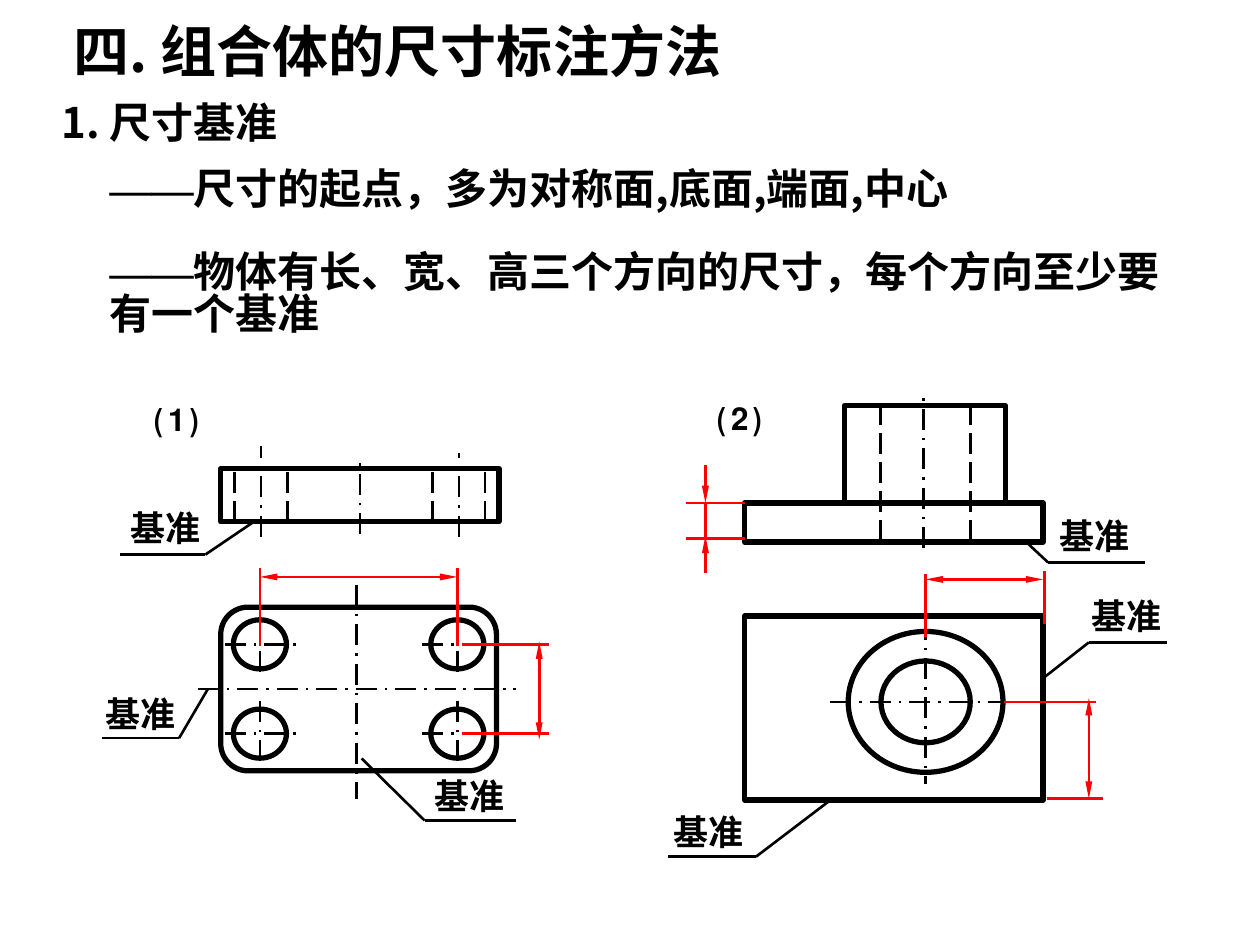
from collections import namedtuple

from lxml import etree
from pptx import Presentation
from pptx.dml.color import RGBColor
from pptx.enum.dml import MSO_LINE
from pptx.enum.shapes import MSO_CONNECTOR, MSO_SHAPE
from pptx.enum.text import MSO_ANCHOR, MSO_AUTO_SIZE, PP_ALIGN
from pptx.oxml.ns import qn
from pptx.util import Cm, Pt

STRAIGHT = MSO_CONNECTOR.STRAIGHT
RECT, ROUNDED, OVAL = MSO_SHAPE.RECTANGLE, MSO_SHAPE.ROUNDED_RECTANGLE, MSO_SHAPE.OVAL
AXIS, HIDDEN = MSO_LINE.LONG_DASH_DOT, MSO_LINE.LONG_DASH
TOP, MIDDLE = MSO_ANCHOR.TOP, MSO_ANCHOR.MIDDLE
LEFT, CENTER = PP_ALIGN.LEFT, PP_ALIGN.CENTER
FIT_SHAPE = MSO_AUTO_SIZE.SHAPE_TO_FIT_TEXT
BLACK, RED = "000000", "FF0000"
SANS, SERIF, LATIN = "Noto Sans CJK SC", "Times New Roman", "Arial"

Box = namedtuple("Box", "left top width height")


def colour(value):
    return RGBColor.from_string(value)


def inside(box, x, y, width, height):
    return Box(box.left + x, box.top + y, width, height)


def write(slide, box, runs, size=24, align=LEFT, anchor=TOP, wrap=True, spacing=None):
    frame = slide.shapes.add_textbox(*map(Cm, box)).text_frame
    frame.word_wrap = wrap
    frame.auto_size = FIT_SHAPE
    frame.vertical_anchor = anchor
    paragraph = frame.paragraphs[0]
    paragraph.alignment = align
    paragraph.line_spacing = spacing
    for words, face in runs:
        run = paragraph.add_run()
        run.text = words
        run.font.size = Pt(size)
        run.font.bold = True
        run.font.name = face
        run.font.color.rgb = colour(BLACK)
        etree.SubElement(run.font._element, qn("a:ea"), typeface=face)


def stroke(slide, box, start, end, ink=BLACK, dash=None, head=False, tail=False):
    (x1, y1), (x2, y2) = start, end
    connector = slide.shapes.add_connector(
        STRAIGHT, Cm(box.left + x1), Cm(box.top + y1), Cm(box.left + x2), Cm(box.top + y2))
    connector.line.color.rgb = colour(ink)
    connector.line.width = Pt(1.5)
    if dash:
        connector.line.dash_style = dash
    properties = connector._element.spPr
    for tag, wanted in (("a:headEnd", head), ("a:tailEnd", tail)):
        if wanted:
            etree.SubElement(properties.find(qn("a:ln")), qn(tag),
                             type="triangle", w="sm", len="lg")
    etree.SubElement(properties, qn("a:effectLst"))


def outline(slide, preset, box):
    body = slide.shapes.add_shape(preset, *map(Cm, box))
    body.shadow.inherit = False
    body.fill.background()
    body.line.color.rgb = colour(BLACK)
    body.line.width = Pt(3)


def ellipse(slide, box, x, y, width, height):
    outline(slide, OVAL, inside(box, x - width / 2, y - height / 2, width, height))


def leader(slide, box, start, knee, end, label):
    stroke(slide, box, start, knee)
    stroke(slide, box, knee, end)
    write(slide, inside(box, *label, 1.96, 1.12), [("基准", SANS)],
          size=20, align=CENTER, anchor=MIDDLE, wrap=False)


def figure_number(slide, box, x, y, number):
    write(slide, inside(box, x, y, 1.37, 1.27), [(number, LATIN)],
          align=CENTER, anchor=MIDDLE, wrap=False)


def dimension(slide, box, start, end):
    stroke(slide, box, start, end, RED, head=True, tail=True)


def heading(slide, box):
    write(slide, inside(box, 0.25, 0, 14.83, 1.63),
          [("四. 组合体的尺寸标注方法", SANS)], size=32, wrap=False, spacing=0.85)
    write(slide, inside(box, 0, 1.57, box.width, 1.27),
          [("1. 尺寸基准", SANS)], spacing=0.85)
    notes = (
        (2.92, 1.3, "尺寸的起点，多为对称面,底面,端面,中心"),
        (4.59, 2.31, "物体有长、宽、高三个方向的尺寸，每个方向至少要有一个基准"),
    )
    for y, height, note in notes:
        write(slide, inside(box, 0.97, y, 22.07, height),
              [("——", SERIF), (note, SANS)], spacing=0.83)


def plate_front(slide, box):
    figure_number(slide, box, -1.58, -1.73, "⑴")
    outline(slide, RECT, box)
    for x, rise in ((0.81, -0.46), (box.width - 0.81, -0.31)):
        stroke(slide, box, (x, 1.37), (x, rise), dash=AXIS)
        for edge in (x - 0.53, x + 0.53):
            stroke(slide, box, (edge, box.height), (edge, 0), dash=HIDDEN)
    middle = box.width / 2
    stroke(slide, box, (middle, 1.32), (middle, -0.26), dash=AXIS)
    leader(slide, box, (0.71, 1.04), (-0.31, 1.73), (-2.04, 1.73), (-2.09, 0.63))


def plate_top(slide, box):
    outline(slide, ROUNDED, box)
    columns = (0.79, box.width - 0.79)
    rows = (0.75, box.height - 0.75)
    for x in columns:
        for y in rows:
            ellipse(slide, box, x, y, 1.07, 0.99)
            stroke(slide, box, (x - 0.71, y), (x + 0.81, y), dash=AXIS)
            stroke(slide, box, (x, y - 0.66), (x, y + 0.66), dash=AXIS)
    middle_x, middle_y = box.width / 2 - 0.04, box.height / 2
    stroke(slide, box, (-0.46, middle_y), (5.96, middle_y), dash=AXIS)
    stroke(slide, box, (middle_x, -0.45), (middle_x, 3.86), dash=AXIS)
    leader(slide, box, (-0.26, 1.65), (-0.84, 2.64), (-2.39, 2.64), (-2.6, 1.58))
    leader(slide, box, (2.84, 3.05), (4.11, 4.3), (5.96, 4.3), (4.03, 3.23))
    for x in columns:
        stroke(slide, box, (x, 0.79), (x, -0.78), RED)
    for y in rows:
        stroke(slide, box, (4.86, y), (6.62, y), RED)
    dimension(slide, box, (columns[0], -0.61), (columns[1], -0.61))
    dimension(slide, box, (6.42, 0.69), (6.42, 2.67))


def flange_front(slide, box):
    figure_number(slide, box, -0.79, -0.48, "⑵")
    step = 1.96
    outline(slide, RECT, inside(box, 0, step, box.width, box.height - step))
    outline(slide, RECT, inside(box, 2.01, 0, 3.25, step))
    stroke(slide, box, (3.61, 2.87), (3.61, -0.23), dash=AXIS)
    for x in (2.74, 4.55):
        stroke(slide, box, (x, 2.72), (x, 0), dash=HIDDEN)
    leader(slide, box, (5.67, 2.74), (6.12, 3.16), (8.08, 3.16), (6.07, 2.06))
    base = 2.67
    for y in (step, base):
        stroke(slide, box, (0, y), (-1.19, y), RED)
    x = -0.79
    stroke(slide, box, (x, 1.19), (x, step), RED, tail=True)
    stroke(slide, box, (x, step), (x, base), RED)
    stroke(slide, box, (x, base - 0.05), (x, 3.38), RED, head=True)


def flange_top(slide, box):
    x, y = 3.65, 1.73
    for width, height in ((1.8, 1.65), (3.12, 2.84)):
        ellipse(slide, box, x, y, width, height)
    stroke(slide, box, (1.73, y), (5.56, y), dash=AXIS)
    stroke(slide, box, (x, 0.05), (x, 3.38), dash=AXIS)
    outline(slide, RECT, box)
    stroke(slide, box, (x, 0.43), (x, -0.84), RED)
    stroke(slide, box, (6.04, 0.15), (6.04, -0.91), RED)
    dimension(slide, box, (x, -0.74), (box.width, -0.74))
    stroke(slide, box, (5.23, y), (7.09, y), RED)
    stroke(slide, box, (6.1, 3.68), (7.22, 3.68), RED)
    dimension(slide, box, (6.94, 1.65), (6.94, 3.68))
    leader(slide, box, (6.02, 1.25), (6.94, 0.53), (8.51, 0.53), (6.72, -0.58))
    leader(slide, box, (1.73, 3.71), (0.23, 4.85), (-1.55, 4.85), (-1.7, 3.79))


def main():
    deck = Presentation()
    deck.slide_width, deck.slide_height = Cm(25.4), Cm(19.05)
    slide = deck.slides.add_slide(deck.slide_layouts[6])
    heading(slide, Box(0.99, 0.41, 24.41, 6.9))
    plate_front(slide, Box(4.45, 9.45, 5.61, 1.07))
    plate_top(slide, Box(4.45, 12.24, 5.56, 3.3))
    flange_front(slide, Box(15.01, 8.18, 6.02, 2.75))
    flange_top(slide, Box(15.01, 12.42, 6.02, 3.71))
    deck.save("out.pptx")


if __name__ == "__main__":
    main()
